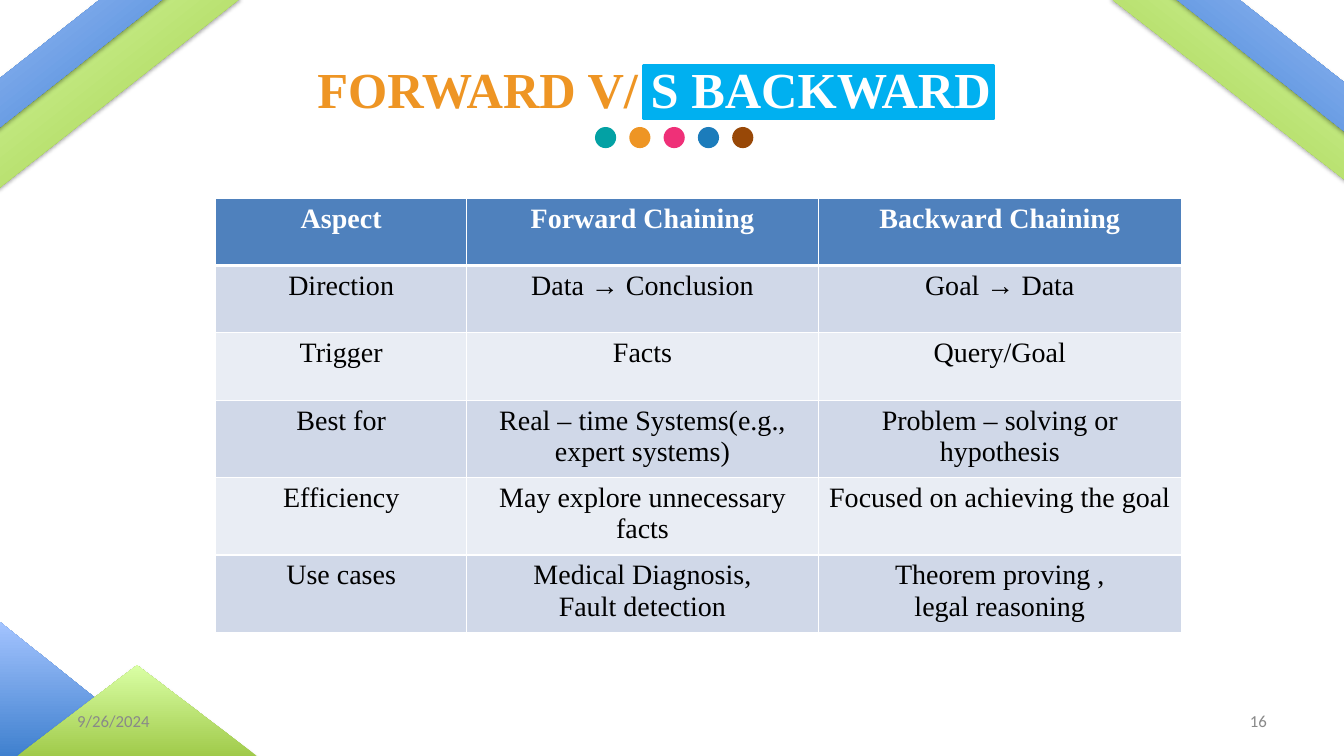
from lxml import etree
from pptx import Presentation
from pptx.dml.color import RGBColor
from pptx.enum.shapes import MSO_SHAPE
from pptx.enum.text import MSO_ANCHOR, PP_ALIGN
from pptx.oxml.ns import qn
from pptx.util import Pt

RECT, OVAL = MSO_SHAPE.RECTANGLE, MSO_SHAPE.OVAL
PEAK = MSO_SHAPE.ISOSCELES_TRIANGLE
LEFT, MID, RIGHT = PP_ALIGN.LEFT, PP_ALIGN.CENTER, PP_ALIGN.RIGHT
TOP, CENTER, BOTTOM = MSO_ANCHOR.TOP, MSO_ANCHOR.MIDDLE, MSO_ANCHOR.BOTTOM

SERIF = "Times New Roman"
WHITE, ORANGE, SKY = "FFFFFF", "EE9524", "00B0F0"
GREEN = ("A0CA4A", "DAFFA5")
BLUE = ("3F80CE", "A4C4FF")
DOTS = ("03A1A4", ORANGE, "EF3078", "1C7CBB", "984807")
HEAD, DARK, PALE = "4F81BD", "D0D8E8", "E9EDF4"

ROWS = [
    ("Aspect", "Forward Chaining", "Backward Chaining"),
    ("Direction", "Data → Conclusion", "Goal → Data"),
    ("Trigger", "Facts", "Query/Goal"),
    ("Best for", "Real – time Systems(e.g., expert systems)",
     "Problem – solving or hypothesis"),
    ("Efficiency", "May explore unnecessary facts",
     "Focused on achieving the goal"),
    ("Use cases", "Medical Diagnosis,\nFault detection",
     "Theorem proving ,\nlegal reasoning"),
]


def color(code):
    return RGBColor.from_string(code)


def write(frame, text, hues=("000000",), font=SERIF, size=20, bold=False,
          align=LEFT, space=None):
    """Fill a frame: each line a paragraph, each part between | a run."""
    frame.word_wrap = True
    for i, line in enumerate(text.split("\n")):
        par = frame.add_paragraph() if i else frame.paragraphs[0]
        par.alignment = align
        if space:
            par.line_spacing = space
        for part, hue in zip(line.split("|"), hues):
            run = par.add_run()
            run.text = part
            run.font.name, run.font.size = font, Pt(size)
            run.font.bold = bold
            run.font.color.rgb = color(hue)


def draw(slide, kind, x, y, w, h, fill):
    shape = slide.shapes.add_shape(kind, Pt(x), Pt(y), Pt(w), Pt(h))
    shape.shadow.inherit = False
    shape.line.fill.background()
    if isinstance(fill, str):
        shape.fill.solid()
        shape.fill.fore_color.rgb = color(fill)
    else:
        shape.fill.gradient()
        shape.fill.gradient_angle = 90
        for stop, hue in zip(shape.fill.gradient_stops, fill):
            stop.color.rgb = color(hue)
    return shape


def shade(shape):
    """Give the shape a soft shadow straight below."""
    effects = shape.element.spPr.find(qn("a:effectLst"))
    outer = etree.SubElement(effects, qn("a:outerShdw"), blurRad=str(Pt(3.1)),
                             dist=str(Pt(1.8)), dir="5400000", rotWithShape="0")
    black = etree.SubElement(outer, qn("a:srgbClr"), val="000000")
    etree.SubElement(black, qn("a:alpha"), val="35000")


def corners(slide, w, h):
    """Place the bands at the top and the peaks at the lower left."""
    bands = [
        (-35.3, 37.4, 220.3, 33.1, -38.2, GREEN),
        (w - 179.5, 36.7, 211.7, 30.2, 37.8, GREEN),
        (-51.1, 24.5, 191.5, 27.4, -38.2, BLUE),
        (w - 151.4, 18.7, 191.5, 27.4, 38.2, BLUE),
    ]
    for *box, turn, hues in bands:
        band = draw(slide, RECT, *box, hues)
        band.rotation = turn
        shade(band)
    peaks = [(-39.6, 160.6, 97.2, 0.24, BLUE), (11.5, 172.8, 65.5, 0.5, GREEN)]
    for x, wide, tall, tip, hues in peaks:
        peak = draw(slide, PEAK, x, h + 0.7 - tall, wide, tall, hues)
        peak.adjustments[0] = tip
        shade(peak)


def label(slide, text, x, y, w, h, anchor, pad=None, **form):
    frame = slide.shapes.add_textbox(Pt(x), Pt(y), Pt(w), Pt(h)).text_frame
    frame.vertical_anchor = anchor
    if pad is not None:
        frame.margin_left = frame.margin_right = Pt(pad)
        frame.margin_top = frame.margin_bottom = Pt(pad)
    write(frame, text, **form)


def title(slide, x, y, w, h):
    mark = draw(slide, RECT, x + 271.4, y + 9.4, 250.6, 38.2, SKY)
    mark.line.color.rgb = color(SKY)
    mark.line.width = Pt(2)
    label(slide, "FORWARD V/ |S BACKWARD", x, y, w, h, BOTTOM, pad=0,
          hues=(ORANGE, WHITE), size=36, bold=True, align=RIGHT, space=0.9)
    for i, hue in enumerate(DOTS):
        draw(slide, OVAL, x + 237 + 24.5 * i, y + 53.3, 15.1, 15.1, hue)


def edge(cell, side, width):
    line = etree.SubElement(cell._tc.get_or_add_tcPr(), qn("a:" + side),
                            w=str(Pt(width)))
    fill = etree.SubElement(line, qn("a:solidFill"))
    etree.SubElement(fill, qn("a:srgbClr"), val=WHITE)


def grid(slide, x, y, w, h):
    shape = slide.shapes.add_table(len(ROWS), 3, Pt(x), Pt(y), Pt(w), Pt(h))
    table = shape.table
    for col, part in zip(table.columns, (0.26, 0.364, 0.376)):
        col.width = Pt(w * part)
    for r, texts in enumerate(ROWS):
        table.rows[r].height = Pt(h / len(ROWS))
        for c, text in enumerate(texts):
            cell = table.cell(r, c)
            cell.vertical_anchor = TOP
            for side in ("lnL", "lnR", "lnT", "lnB"):
                thick = (r, side) in ((0, "lnB"), (1, "lnT"))
                edge(cell, side, 3 if thick else 1)
            cell.fill.solid()
            shades = (PALE, DARK)
            cell.fill.fore_color.rgb = color(shades[r % 2] if r else HEAD)
            write(cell.text_frame, text, hues=("000000" if r else WHITE,),
                  bold=r == 0, align=MID)


def footer(slide, x, y, w, h):
    form = {"hues": ("898989",), "font": "Calibri", "size": 12}
    label(slide, "9/26/2024", x, y, 224, h, CENTER, **form)
    label(slide, "16", x + w - 224, y, 224, h, CENTER, align=RIGHT, **form)


def main():
    deck = Presentation()
    deck.slide_width, deck.slide_height = Pt(960), Pt(540)
    slide = deck.slides.add_slide(deck.slide_layouts[6])
    corners(slide, 960, 540)
    title(slide, 188, 37.4, 519.8, 48.2)
    grid(slide, 154.1, 141.4, 689.8, 289)
    footer(slide, 48, 500.5, 864, 28.8)
    deck.save("out.pptx")


if __name__ == "__main__":
    main()
